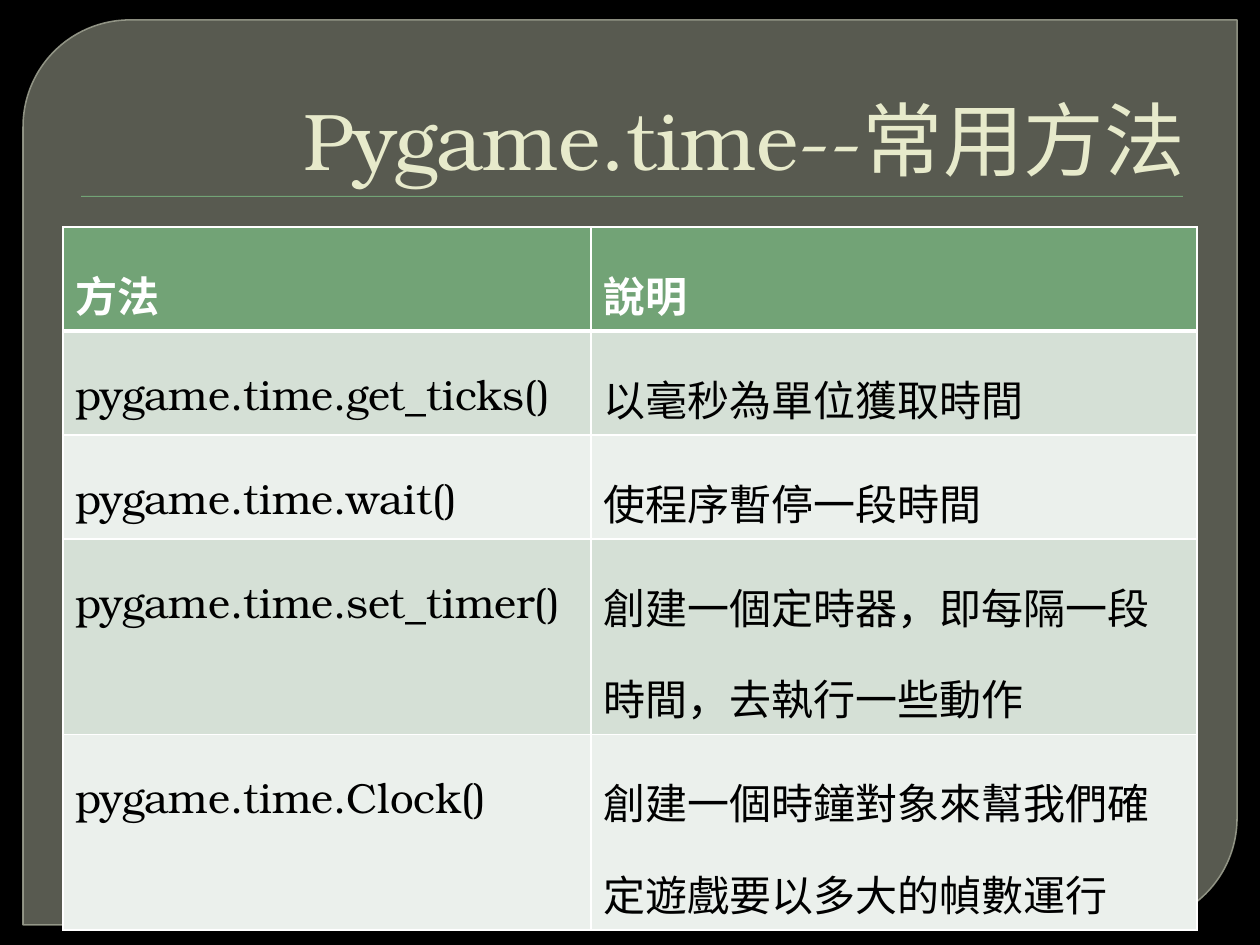
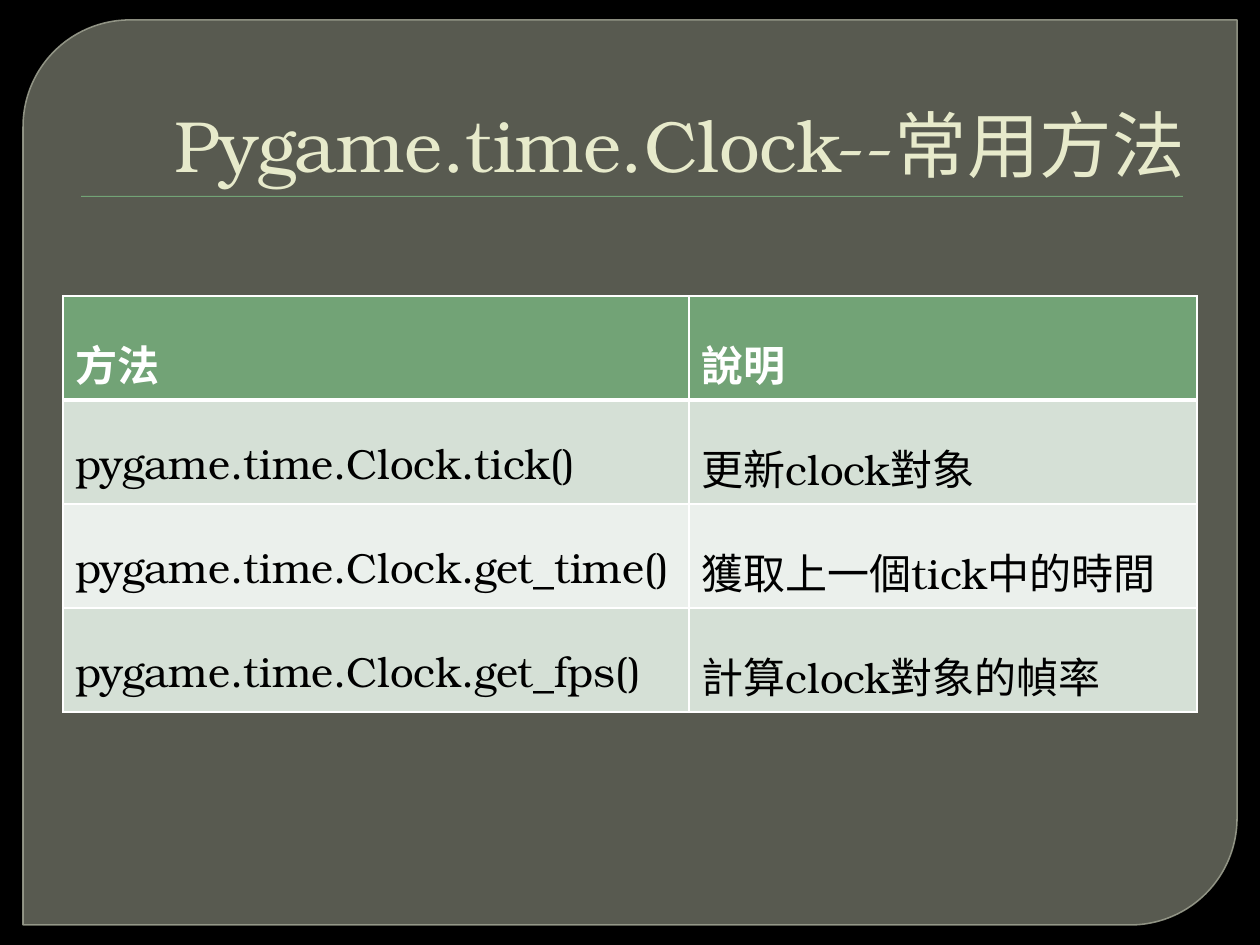
from dataclasses import dataclass

from lxml.etree import SubElement
from pptx import Presentation
from pptx.dml.color import RGBColor
from pptx.enum.shapes import MSO_SHAPE
from pptx.enum.text import MSO_ANCHOR, MSO_AUTO_SIZE, PP_ALIGN
from pptx.oxml.ns import qn
from pptx.util import Emu, Pt

HEADER = ("方法", "說明")
SLIDES = [
    {
        "title": "Pygame.time--常用方法",
        "title_size": 46,
        "table_top": 227,
        "columns": (528, 606),
        "methods": [
            ("pygame.time.get_ticks()", "以毫秒為單位獲取時間"),
            ("pygame.time.wait()", "使程序暫停一段時間"),
            ("pygame.time.set_timer()", "創建一個定時器，即每隔一段時間，去執行一些動作"),
            ("pygame.time.Clock()", "創建一個時鐘對象來幫我們確定遊戲要以多大的幀數運行"),
        ],
    },
    {
        "title": "Pygame.time.Clock--常用方法",
        "title_size": 41.4,
        "table_top": 296,
        "columns": (626, 508),
        "methods": [
            ("pygame.time.Clock.tick()", "更新clock對象"),
            ("pygame.time.Clock.get_time()", "獲取上一個tick中的時間"),
            ("pygame.time.Clock.get_fps()", "計算clock對象的幀率"),
        ],
    },
]


@dataclass(frozen=True)
class Theme:
    font: str = "TeX Gyre Bonum"
    background: str = "000000"
    frame: str = "888B7B"
    frame_line: str = "9DA090"
    accent: str = "72A376"
    title: str = "E7EACB"
    header_text: str = "FFFFFF"
    body_text: str = "000000"
    grid: str = "FFFFFF"
    bands: tuple = ("D5E0D6", "EBF0EC")
    table_size: float = 24
    grid_width: float = 1
    header_rule_width: float = 3
    frame_line_width: float = 0.87


THEME = Theme()
PX_PER_INCH = 126
SLIDE_SIZE = (1260, 945)
FRAME_BOX = (23, 20, 1214, 905)
DIVIDER_BOX = (81, 196, 1102, 1)
TITLE_BOX = (63, 35, 1134, 158)
TITLE_INDENT = 8
ROW_HEIGHT = 52


def px(length):
    return Emu(round(length * 914400 / PX_PER_INCH))


def add_element(parent, tag, **attributes):
    values = {name: str(value) for name, value in attributes.items()}
    return SubElement(parent, qn(tag), values)


def set_fill(fill, color):
    fill.solid()
    fill.fore_color.rgb = RGBColor.from_string(color)


def set_alpha(properties, percent):
    color = properties.find(qn("a:solidFill")).find(qn("a:srgbClr"))
    add_element(color, "a:alpha", val=percent * 1000)


def style_text(paragraph, size, color, bold=False):
    for run in paragraph.runs:
        run.font.name = THEME.font
        run.font.size = Pt(size)
        run.font.bold = bold
        run.font.color.rgb = RGBColor.from_string(color)


def add_backdrop(slide):
    set_fill(slide.background.fill, THEME.background)
    frame = slide.shapes.add_shape(MSO_SHAPE.ROUND_2_DIAG_RECTANGLE, *map(px, FRAME_BOX))
    frame.adjustments[0] = 0.118
    frame.adjustments[1] = 0
    frame.shadow.inherit = False
    set_fill(frame.fill, THEME.frame)
    set_alpha(frame.fill._xPr, 65)
    set_fill(frame.line.fill, THEME.frame_line)
    frame.line.width = Pt(THEME.frame_line_width)
    set_alpha(frame.line._ln, 88)

    divider = slide.shapes.add_shape(MSO_SHAPE.RECTANGLE, *map(px, DIVIDER_BOX))
    divider.shadow.inherit = False
    set_fill(divider.fill, THEME.accent)
    divider.line.fill.background()
    effects = divider._element.spPr.find(qn("a:effectLst"))
    shadow = add_element(effects, "a:outerShdw", blurRad=Pt(1), dist=Pt(1),
                         dir=90 * 60000, algn="tl", rotWithShape=0)
    color = add_element(shadow, "a:srgbClr", val=THEME.background)
    add_element(color, "a:alpha", val=75000)

    tree = slide.shapes._spTree
    for position, shape in enumerate((frame, divider), start=2):
        tree.insert(position, shape._element)


def add_title(slide, text, size):
    title = slide.shapes.title
    title.left, title.top, title.width, title.height = map(px, TITLE_BOX)
    text_frame = title.text_frame
    text_frame.text = text
    text_frame.word_wrap = True
    text_frame.auto_size = MSO_AUTO_SIZE.NONE
    text_frame.vertical_anchor = MSO_ANCHOR.BOTTOM
    paragraph = text_frame.paragraphs[0]
    paragraph.alignment = PP_ALIGN.RIGHT
    properties = paragraph._p.get_or_add_pPr()
    properties.set("marL", str(px(TITLE_INDENT)))
    properties.set("indent", "0")
    style_text(paragraph, size, THEME.title)


def set_borders(cell, top, bottom):
    properties = cell._tc.get_or_add_tcPr()
    widths = {"L": THEME.grid_width, "R": THEME.grid_width, "T": top, "B": bottom}
    for side, width in widths.items():
        line = add_element(properties, f"a:ln{side}", w=Pt(width))
        add_element(add_element(line, "a:solidFill"), "a:srgbClr", val=THEME.grid)


def format_cell(cell, text, row_number):
    is_header = row_number == 0
    top = THEME.header_rule_width if row_number == 1 else THEME.grid_width
    bottom = THEME.header_rule_width if is_header else THEME.grid_width
    set_borders(cell, top, bottom)
    set_fill(cell.fill, THEME.accent if is_header else THEME.bands[(row_number - 1) % 2])
    cell.text_frame.text = text
    paragraph = cell.text_frame.paragraphs[0]
    paragraph.line_spacing = 1.5
    color = THEME.header_text if is_header else THEME.body_text
    style_text(paragraph, THEME.table_size, color, is_header)


def add_method_table(slide, methods, top, columns):
    rows = [HEADER, *methods]
    box = (TITLE_BOX[0], top, sum(columns), ROW_HEIGHT * len(rows))
    table = slide.shapes.add_table(len(rows), len(columns), *map(px, box)).table
    for column, width in zip(table.columns, columns):
        column.width = px(width)
    for row_number, texts in enumerate(rows):
        for column_number, text in enumerate(texts):
            format_cell(table.cell(row_number, column_number), text, row_number)


def main():
    presentation = Presentation()
    presentation.slide_width, presentation.slide_height = map(px, SLIDE_SIZE)
    title_only = presentation.slide_layouts[5]
    for content in SLIDES:
        slide = presentation.slides.add_slide(title_only)
        add_backdrop(slide)
        add_title(slide, content["title"], content["title_size"])
        add_method_table(slide, content["methods"], content["table_top"], content["columns"])
    presentation.save("out.pptx")


if __name__ == "__main__":
    main()
